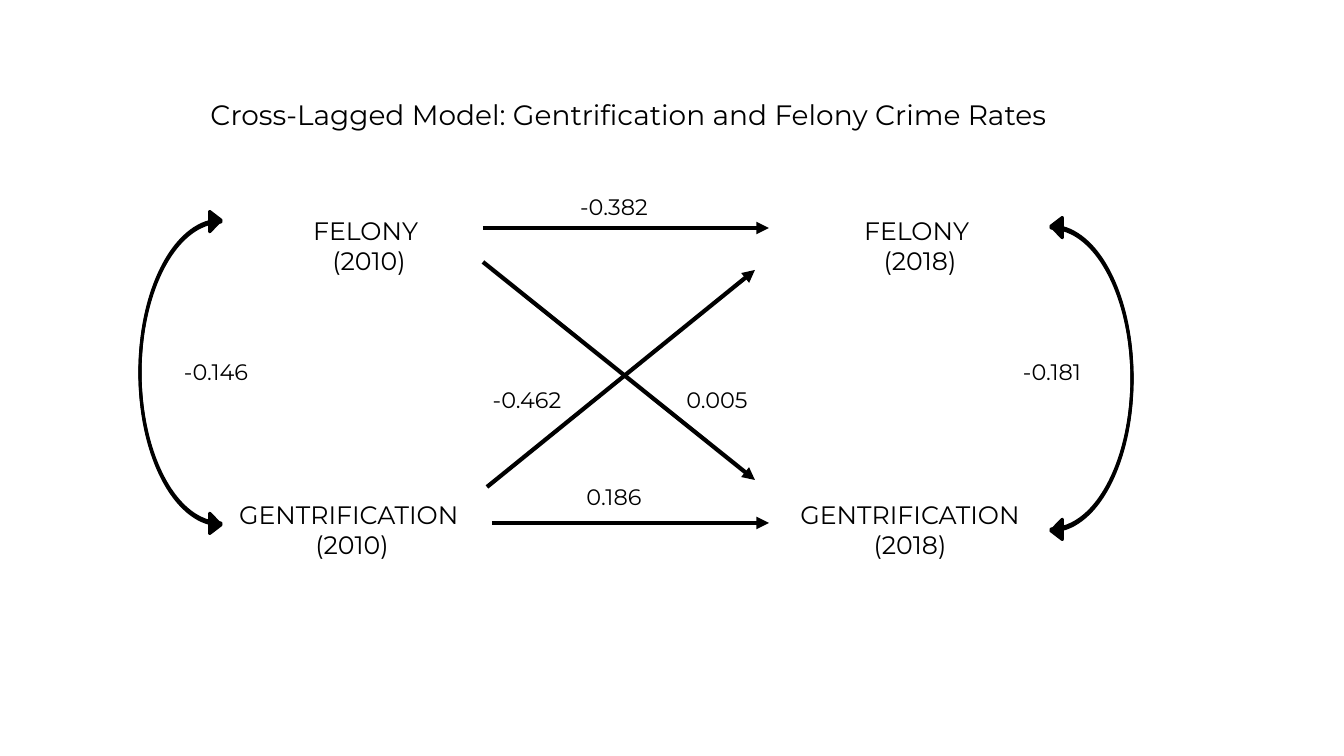
from dataclasses import dataclass

from pptx import Presentation
from pptx import util as u
from pptx.dml.color import RGBColor
from pptx.enum import shapes, text
from pptx.oxml import ns, xmlchemy


@dataclass(frozen=True)
class Theme:
    """Colours, font and sizes of the slide."""
    ink: RGBColor = RGBColor(0, 0, 0)
    font: str = "Montserrat"
    title: u.Pt = u.Pt(20)
    variable: u.Pt = u.Pt(18)
    coefficient: u.Pt = u.Pt(16)
    path_line: u.Pt = u.Pt(3)
    arc_line: u.Pt = u.Pt(2.25)


THEME = Theme()
COEFFICIENT_SIZE = (262, 37)
VARIABLE_SIZE = (352, 72)


def px(*lengths):
    """Turn pixels into EMU."""
    return [u.Emu(round(length * 914400 / 100.8)) for length in lengths]


def write(slide, box, lines, size):
    """Write centred lines in a box."""
    frame = slide.shapes.add_textbox(*px(*box)).text_frame
    frame.word_wrap = True
    frame.text = "\n".join(lines)
    for paragraph in frame.paragraphs:
        paragraph.alignment = text.PP_ALIGN.CENTER
        paragraph.font.name = THEME.font
        paragraph.font.size = size
        paragraph.font.color.rgb = THEME.ink


def add_path(slide, start, end):
    """Draw a straight path ending in an arrowhead."""
    path = slide.shapes.add_connector(shapes.MSO_CONNECTOR.STRAIGHT, *px(*start, *end))
    path.line.color.rgb = THEME.ink
    path.line.width = THEME.path_line
    head = xmlchemy.OxmlElement("a:tailEnd")
    head.set("type", "triangle")
    path.line._get_or_add_ln().append(head)
    path.element.find(ns.qn("p:spPr")).append(xmlchemy.OxmlElement("a:effectLst"))


def add_wave(slide, box, year, felony, gentrification):
    """Place both variables of one year, each given as name and centre."""
    left, top, _, height = box
    width, row = VARIABLE_SIZE
    for (name, centre), offset in ((felony, 0), (gentrification, height - row)):
        area = (left + centre - width // 2, top + offset, width, row)
        write(slide, area, [name, f"({year})"], THEME.variable)


def add_lagged_paths(slide, box):
    """Draw the four paths between the years with their coefficients."""
    left, top, right, bottom = box[0], box[1], box[0] + box[2], box[1] + box[3]
    paths = [
        ((left, top + 40), (right, top + 40), "-0.382", (0, 0)),
        ((left + 9, bottom), (right, bottom), "0.186", (0, 290)),
        ((left, top + 74), (right - 14, bottom - 43), "0.005", (103, 193)),
        ((left + 4, bottom - 36), (right - 14, top + 82), "-0.462", (-87, 193)),
    ]
    for start, end, coefficient, (across, down) in paths:
        add_path(slide, start, end)
        write(slide, (left + across, top + down, *COEFFICIENT_SIZE),
              [coefficient], THEME.coefficient)


def add_correlation(slide, box, coefficient, label_offset, mirrored=False):
    """Draw a two-headed arc from two curved arrows, with its coefficient."""
    left, top, width, height = box
    overlap = 12
    for upward, shift in ((False, overlap), (True, 0)):
        arc = slide.shapes.add_shape(
            shapes.MSO_SHAPE.CURVED_LEFT_ARROW,
            *px(left, top + shift, width, height - overlap))
        for index, value in enumerate((0, 0.25, 0.14)):
            arc.adjustments[index] = value
        arc.shadow.inherit = False
        arc.fill.solid()
        arc.fill.fore_color.rgb = THEME.ink
        arc.line.color.rgb = THEME.ink
        arc.line.width = THEME.arc_line
        for flip, active in (("flipH", mirrored), ("flipV", upward)):
            if active:
                arc.element.spPr.xfrm.set(flip, "1")
    across, down = label_offset
    write(slide, (left + across, top + down, *COEFFICIENT_SIZE),
          [coefficient], THEME.coefficient)


def build():
    """Build and save the cross-lagged model slide."""
    deck = Presentation()
    deck.slide_width, deck.slide_height = px(1344, 756)
    slide = deck.slides.add_slide(deck.slide_layouts[6])
    write(slide, (184, 93, 889, 44),
          ["Cross-Lagged Model: Gentrification and Felony Crime Rates"], THEME.title)
    add_wave(slide, (176, 210, 352, 356), 2010, ("FELONY ", 193), ("GENTRIFICATION ", 176))
    add_wave(slide, (734, 210, 352, 356), 2018, ("FELONY ", 186), ("GENTRIFICATION", 176))
    add_lagged_paths(slide, (483, 188, 286, 335))
    add_correlation(slide, (140, 210, 81, 325), "-0.146", (-55, 143), mirrored=True)
    add_correlation(slide, (1051, 216, 81, 325), "-0.181", (-130, 137))
    deck.save("out.pptx")


build()
